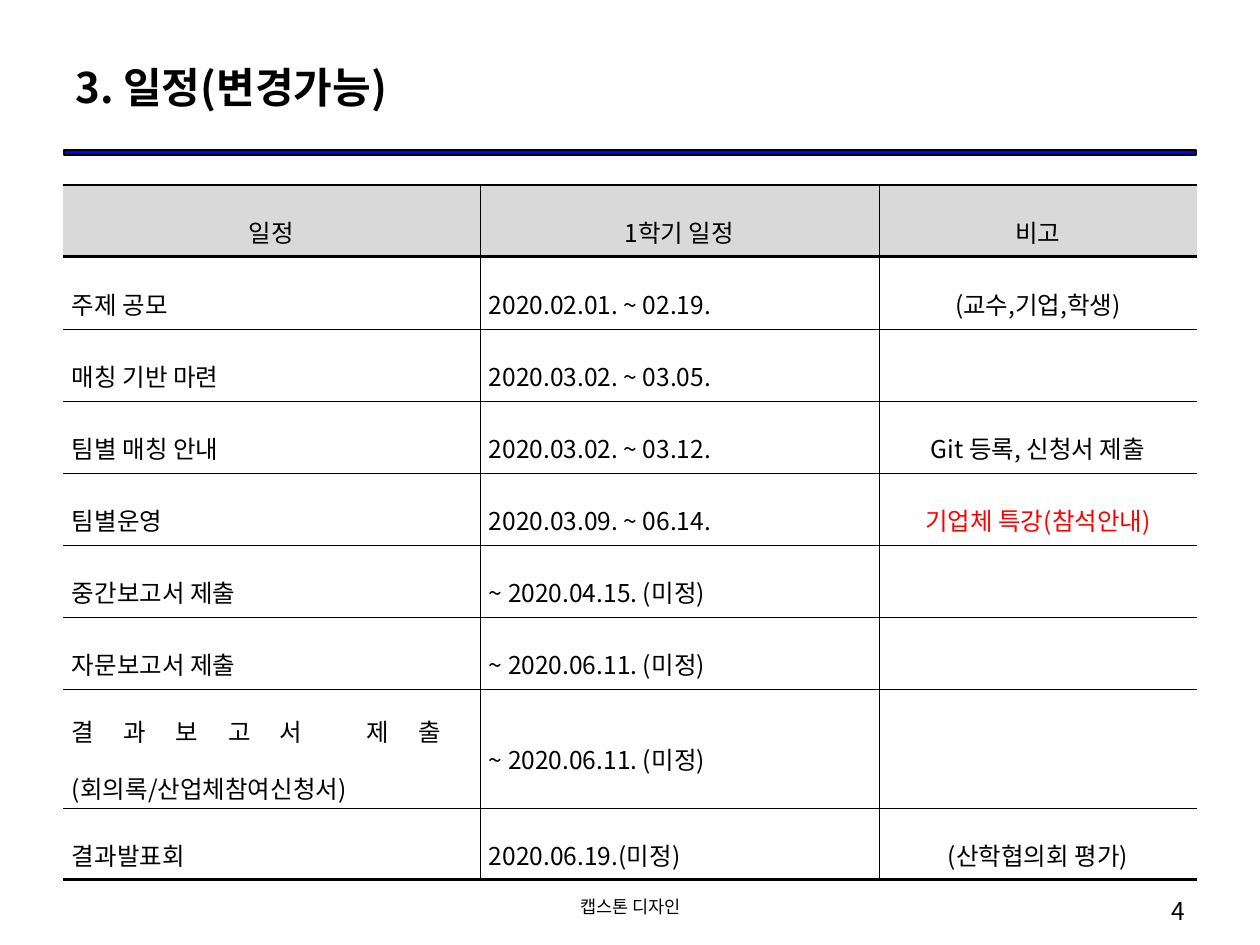
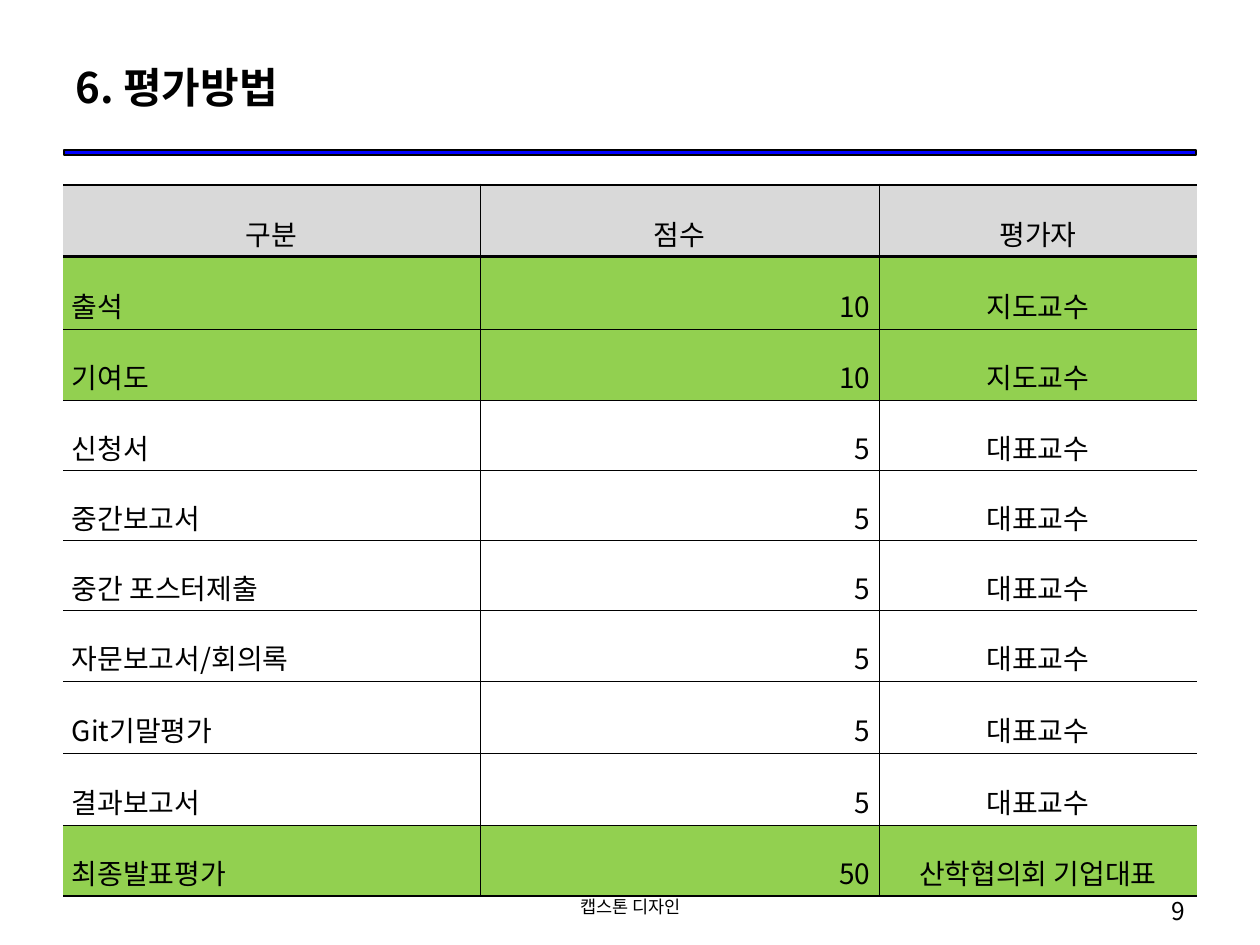
"""Build the schedule and grading slides of a capstone design course."""
from lxml import etree
from pptx import Presentation
from pptx import util as u
from pptx.dml.color import RGBColor
from pptx.enum import shapes, text
from pptx.oxml.ns import qn

PX = 914400 / 126
FONT = "Noto Sans CJK KR"
COLORS = {"ink": "000000", "bar": "0000FF", "header": "D9D9D9",
          "highlight": "92D050", "alert": "FF0000"}
LEFT, CENTER = text.PP_ALIGN.LEFT, text.PP_ALIGN.CENTER
RIGHT, JUSTIFY = text.PP_ALIGN.RIGHT, text.PP_ALIGN.JUSTIFY

TITLE_BOX = (63, 38, 1134, 97)
BAR_BOX = (64, 150, 1132, 5)
FOOTER_BOX = (431, 890, 399, 37)
NUMBER_BOX = (903, 890, 294, 37)
TABLE_ORIGIN = (63, 185)
COLUMN_WIDTHS = (417, 399, 318)
THIN, OUTER, HEADER_RULE = 0.28, 1.7, 1.98

SCHEDULE = [
    ("일정", "1학기 일정", "비고"),
    ("주제 공모", "2020.02.01. ~ 02.19.", "(교수,기업,학생)"),
    ("매칭 기반 마련", "2020.03.02. ~ 03.05.", ""),
    ("팀별 매칭 안내", "2020.03.02. ~ 03.12.", "Git 등록, 신청서 제출"),
    ("팀별운영", "2020.03.09. ~ 06.14.", "기업체 특강(참석안내)"),
    ("중간보고서 제출", "~ 2020.04.15. (미정)", ""),
    ("자문보고서 제출", "~ 2020.06.11. (미정)", ""),
    ("결과보고서 제출\v(회의록/산업체참여신청서)", "~ 2020.06.11. (미정)", ""),
    ("결과발표회", "2020.06.19.(미정)", "(산학협의회 평가)"),
]
SCHEDULE_HEIGHTS = [72] * 7 + [119, 72]

GRADING = [
    ("구분", "점수", "평가자"),
    ("출석", "10", "지도교수"),
    ("기여도", "10", "지도교수"),
    ("신청서", "5", "대표교수"),
    ("중간보고서", "5", "대표교수"),
    ("중간 포스터제출", "5", "대표교수"),
    ("자문보고서/회의록", "5", "대표교수"),
    ("Git기말평가", "5", "대표교수"),
    ("결과보고서", "5", "대표교수"),
    ("최종발표평가", "50", "산학협의회 기업대표"),
]
GRADING_HEIGHTS = [72, 72, 71, 70, 70, 70, 71, 72, 72, 71]


def px(length):
    """Turn pixels into EMU."""
    return u.Emu(round(length * PX))


def rgb(name):
    """Look up a palette colour."""
    return RGBColor.from_string(COLORS[name])


def write(paragraph, words, size, align, color="ink", bold=False):
    """Fill a paragraph and style it as a whole."""
    paragraph.text = words
    paragraph.alignment = align
    font = paragraph.font
    font.name, font.size, font.bold = FONT, u.Pt(size), bold
    font.color.rgb = rgb(color)
    defaults = paragraph._p.pPr.find(qn("a:defRPr"))
    etree.SubElement(defaults, qn("a:ea"), typeface=FONT)


def add_label(slide, box, words, size, align, anchor=text.MSO_ANCHOR.TOP, bold=False):
    """Add one line of text in a box."""
    frame = slide.shapes.add_textbox(*map(px, box)).text_frame
    frame.word_wrap = True
    frame.vertical_anchor = anchor
    write(frame.paragraphs[0], words, size, align, bold=bold)


def add_frame(presentation, title, number):
    """Add a slide with its title, bar, footer and number."""
    slide = presentation.slides.add_slide(presentation.slide_layouts[6])
    bar = slide.shapes.add_shape(shapes.MSO_SHAPE.RECTANGLE, *map(px, BAR_BOX))
    bar.shadow.inherit = False
    bar.fill.solid()
    bar.fill.fore_color.rgb = rgb("bar")
    bar.line.color.rgb = rgb("ink")
    bar.line.width = u.Pt(0.75)
    add_label(slide, TITLE_BOX, title, 24, LEFT, text.MSO_ANCHOR.MIDDLE, bold=True)
    add_label(slide, FOOTER_BOX, "캡스톤 디자인", 10, CENTER)
    add_label(slide, NUMBER_BOX, str(number), 14, RIGHT)
    return slide


def set_borders(cell, widths):
    """Draw left, right, top and bottom borders, none where the width is zero."""
    properties = cell._tc.get_or_add_tcPr()
    for side, width in zip("LRTB", widths):
        line = etree.SubElement(properties, qn(f"a:ln{side}"), w=str(u.Pt(width)))
        if width:
            fill = etree.SubElement(line, qn("a:solidFill"))
            etree.SubElement(fill, qn("a:srgbClr"), val=COLORS["ink"])
        else:
            etree.SubElement(line, qn("a:noFill"))


def add_ruled_table(slide, rows, heights, size, aligns, highlighted=(), alerts=()):
    """Add a table with a grey header, open sides and heavy outer rules."""
    table = slide.shapes.add_table(
        len(rows), len(COLUMN_WIDTHS), *map(px, TABLE_ORIGIN),
        px(sum(COLUMN_WIDTHS)), px(sum(heights))).table
    table.first_row = table.horz_banding = False
    for column, width in zip(table.columns, COLUMN_WIDTHS):
        column.width = px(width)
    across = [OUTER, HEADER_RULE] + [THIN] * (len(rows) - 2) + [OUTER]
    down = [0] + [THIN] * (len(COLUMN_WIDTHS) - 1) + [0]
    fills = {0: "header", **dict.fromkeys(highlighted, "highlight")}
    for r, row in enumerate(rows):
        table.rows[r].height = px(heights[r])
        for c, words in enumerate(row):
            cell = table.cell(r, c)
            cell.margin_left = cell.margin_right = px(9)
            cell.margin_top = cell.margin_bottom = px(2)
            cell.vertical_anchor = text.MSO_ANCHOR.MIDDLE
            set_borders(cell, down[c:c + 2] + across[r:r + 2])
            if r in fills:
                cell.fill.solid()
                cell.fill.fore_color.rgb = rgb(fills[r])
            else:
                cell.fill.background()
            paragraph = cell.text_frame.paragraphs[0]
            paragraph.line_spacing = 1.6
            write(paragraph, words, size, aligns[c] if r else CENTER,
                  "alert" if (r, c) in alerts else "ink")


def main():
    """Build both slides and save them."""
    presentation = Presentation()
    presentation.slide_width, presentation.slide_height = px(1260), px(945)
    schedule = add_frame(presentation, "3. 일정(변경가능)", 4)
    add_ruled_table(schedule, SCHEDULE, SCHEDULE_HEIGHTS, 14,
                    (JUSTIFY, JUSTIFY, CENTER), alerts={(4, 2)})
    grading = add_frame(presentation, "6. 평가방법", 9)
    add_ruled_table(grading, GRADING, GRADING_HEIGHTS, 16,
                    (JUSTIFY, RIGHT, CENTER), highlighted=(1, 2, 9))
    presentation.save("out.pptx")


if __name__ == "__main__":
    main()
